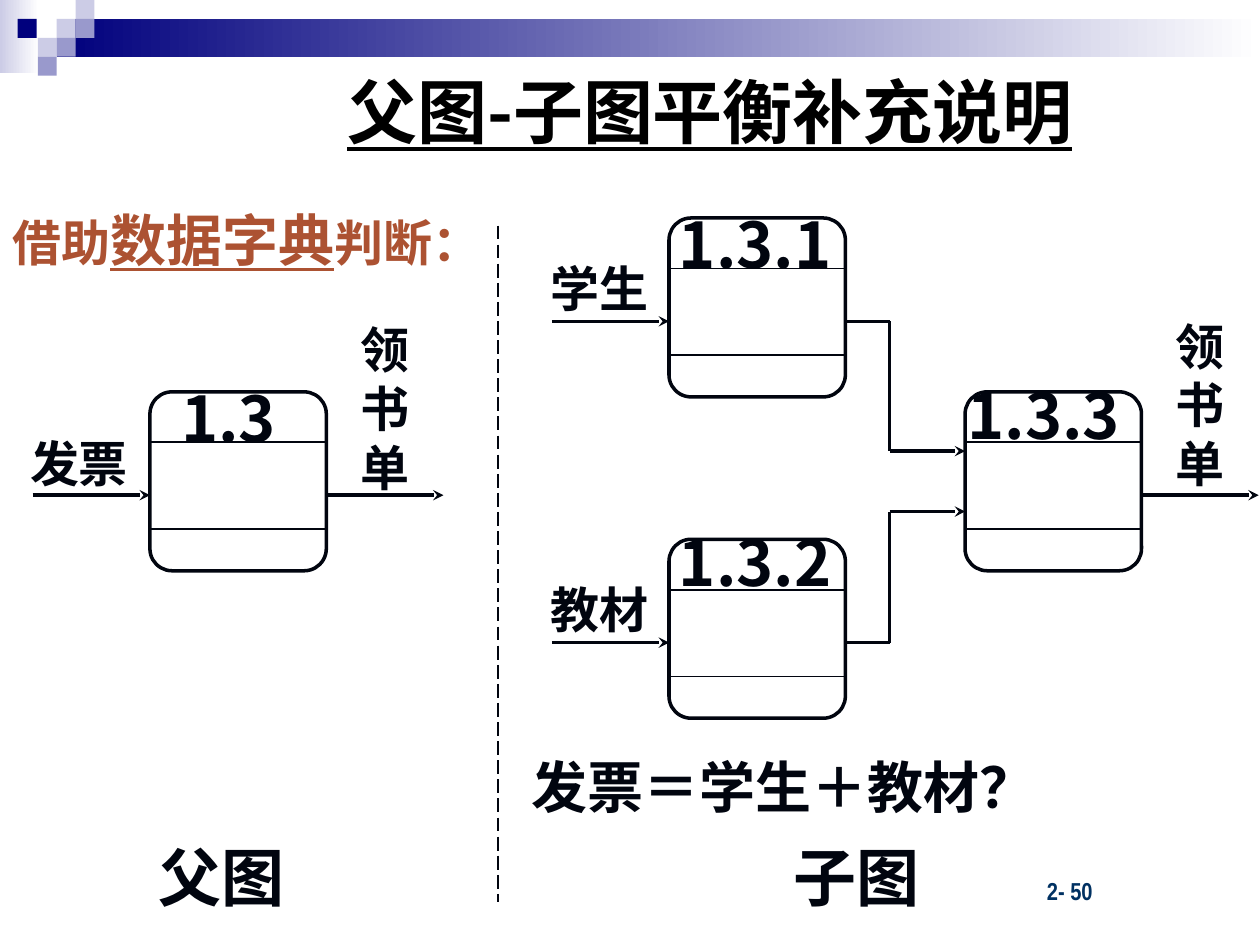
"""Build a slide on balancing a parent data-flow diagram with its child diagram."""
from lxml import etree
from pptx import Presentation
from pptx.dml.color import RGBColor
from pptx.enum import dml, shapes, text
from pptx.oxml import ns
from pptx.util import Inches, Pt

COLORS = {"ink": "01050F", "black": "000000", "rust": "AC5232", "number": "003162",
          "navy": "00007D", "pale": "CCCCE6", "mid": "9999CC", "white": "FFFFFF"}
CJK = "Noto Sans CJK SC"

TITLE = "父图-子图平衡补充说明"
BANDS = [((0, 0, 0.31, 0.58), "pale"), ((0.45, 0.15, 9.55, 0.3), "navy")]
TILE = 0.15
TILES = [(0.45, 0.15, "pale"), (0.6, 0, "pale"), (0.6, 0.15, "mid"), (0.3, 0.3, "pale"),
         (0.14, 0.15, "navy"), (0.45, 0.3, "mid"), (0.3, 0.45, "mid")]

PROCESS_SIZE = (1.4, 1.42)
DIVIDERS = (0.4, 1.09)
FLOW_DROP = 0.82
FLOW_LENGTH = 0.93
PROCESSES = {"1.3": (1.19, 3.11), "1.3.1": (5.31, 1.73),
             "1.3.2": (5.31, 4.28), "1.3.3": (7.66, 3.11)}
INPUTS = ["1.3", "1.3.1", "1.3.2"]
OUTPUTS = ["1.3", "1.3.3"]
ELBOW_X = 7.06
ELBOWS = {"1.3.1": 3.58, "1.3.2": 4.06}
DIVIDING_LINE = [(3.95, 1.79), (3.95, 7.16)]

LABELS = [
    ("1.3", (1.34, 2.96, 1.09, 0.7), 36),
    ("1.3.1", (5.29, 1.58, 2.02, 0.7), 36),
    ("1.3.2", (5.29, 4.11, 1.93, 0.7), 36),
    ("1.3.3", (7.58, 2.94, 1.51, 0.7), 36),
    ("发票", (0.14, 3.39, 1.19, 0.57), 28),
    ("学生", (4.27, 2, 1.2, 0.57), 28),
    ("教材", (4.27, 4.55, 1.2, 0.57), 28),
    ("父图", (1.16, 6.61, 1.61, 0.7), 36),
    ("子图", (6.2, 6.61, 1.61, 0.7), 36),
    ("发票＝学生＋教材？", (4.12, 5.92, 5.37, 0.63), 32),
]
STACKED = ["领", "书", "单"]
STACKS = [(2.76, 2.49, 0.59, 1.5), (9.23, 2.46, 0.59, 1.5)]
HINT = [("借助", 28, False), ("数据字典", 32, True), ("判断：", 28, False)]


def rgb(name):
    return RGBColor.from_string(COLORS[name])


def add_span(para, words, size=28, color="ink", font=CJK, underline=False):
    span = para.add_run()
    span.text = words
    span.font.size = Pt(size)
    span.font.bold = True
    span.font.underline = underline
    span.font.color.rgb = rgb(color)
    span.font.name = font
    east = etree.SubElement(span.font._element, ns.qn("a:ea"))
    east.set("typeface", CJK)


def add_label(page, lines, place, wrap=True, **style):
    frame = page.shapes.add_textbox(*map(Inches, place)).text_frame
    frame.word_wrap = wrap
    for index, words in enumerate(lines):
        para = frame.add_paragraph() if index else frame.paragraphs[0]
        add_span(para, words, **style)
    return frame


def add_box(page, place, kind=shapes.MSO_SHAPE.RECTANGLE):
    box = page.shapes.add_shape(kind, *map(Inches, place))
    box.shadow.inherit = False
    return box


def add_path(page, points, width=2, arrow=False, dash=None):
    for index, (start, end) in enumerate(zip(points, points[1:]), 2):
        line = page.shapes.add_connector(
            shapes.MSO_CONNECTOR.STRAIGHT, *map(Inches, start + end))
        line.line.color.rgb = rgb("ink")
        line.line.width = Pt(width)
        if dash:
            line.line.dash_style = dash
        if arrow and index == len(points):
            head = etree.SubElement(line.line._get_or_add_ln(), ns.qn("a:tailEnd"))
            head.set("type", "stealth")
        etree.SubElement(line._element.spPr, ns.qn("a:effectLst"))


def add_process(page, left, top):
    width, height = PROCESS_SIZE
    box = add_box(page, (left, top, width, height), shapes.MSO_SHAPE.ROUNDED_RECTANGLE)
    box.adjustments[0] = 0.125
    box.fill.background()
    box.line.color.rgb = rgb("ink")
    box.line.width = Pt(2)
    for drop in DIVIDERS:
        add_path(page, [(left, top + drop), (left + width, top + drop)], width=1)


def add_banner(page):
    for place, color in BANDS:
        band = add_box(page, place)
        band.line.fill.background()
        band.fill.gradient()
        band.fill.gradient_angle = 0
        for stop, name in zip(band.fill.gradient_stops, (color, "white")):
            stop.color.rgb = rgb(name)
    for left, top, color in TILES:
        tile = add_box(page, (left, top, TILE, TILE))
        tile.line.fill.background()
        tile.fill.solid()
        tile.fill.fore_color.rgb = rgb(color)


def add_title(page):
    title = page.shapes.title
    title.left, title.top, title.width, title.height = map(Inches, (1.67, 0.25, 7.93, 1.25))
    frame = title.text_frame
    frame.auto_size = text.MSO_AUTO_SIZE.NONE
    frame.vertical_anchor = text.MSO_ANCHOR.MIDDLE
    frame.paragraphs[0].alignment = text.PP_ALIGN.CENTER
    add_span(frame.paragraphs[0], TITLE, size=40, color="black", underline=True)


def add_flows(page):
    for name in INPUTS:
        left, top = PROCESSES[name]
        level = top + FLOW_DROP
        add_path(page, [(left - FLOW_LENGTH, level), (left, level)], arrow=True)
    for name in OUTPUTS:
        left, top = PROCESSES[name]
        right, level = left + PROCESS_SIZE[0], top + FLOW_DROP
        add_path(page, [(right, level), (right + FLOW_LENGTH, level)], arrow=True)
    target = PROCESSES["1.3.3"][0]
    for name, entry in ELBOWS.items():
        left, top = PROCESSES[name]
        level = top + FLOW_DROP
        add_path(page, [(left + PROCESS_SIZE[0], level), (ELBOW_X, level),
                        (ELBOW_X, entry), (target, entry)], arrow=True)


def main():
    deck = Presentation()
    deck.slide_width, deck.slide_height = Inches(10), Inches(7.5)
    page = deck.slides.add_slide(deck.slide_layouts[5])
    add_banner(page)
    add_title(page)
    for left, top in PROCESSES.values():
        add_process(page, left, top)
    add_flows(page)
    add_path(page, DIVIDING_LINE, width=1, dash=dml.MSO_LINE.LONG_DASH)
    for words, place, size in LABELS:
        add_label(page, [words], place, size=size)
    for place in STACKS:
        add_label(page, STACKED, place, wrap=False)
    hint = add_label(page, [], (0, 1.58, 3.75, 1.1))
    for words, size, underline in HINT:
        add_span(hint.paragraphs[0], words, size=size, color="rust",
                 font="Arial", underline=underline)
    add_label(page, ["2- 50"], (8.21, 6.9, 1.15, 0.33),
              size=14, color="number", font="Arial Narrow")
    deck.save("out.pptx")


if __name__ == "__main__":
    main()
